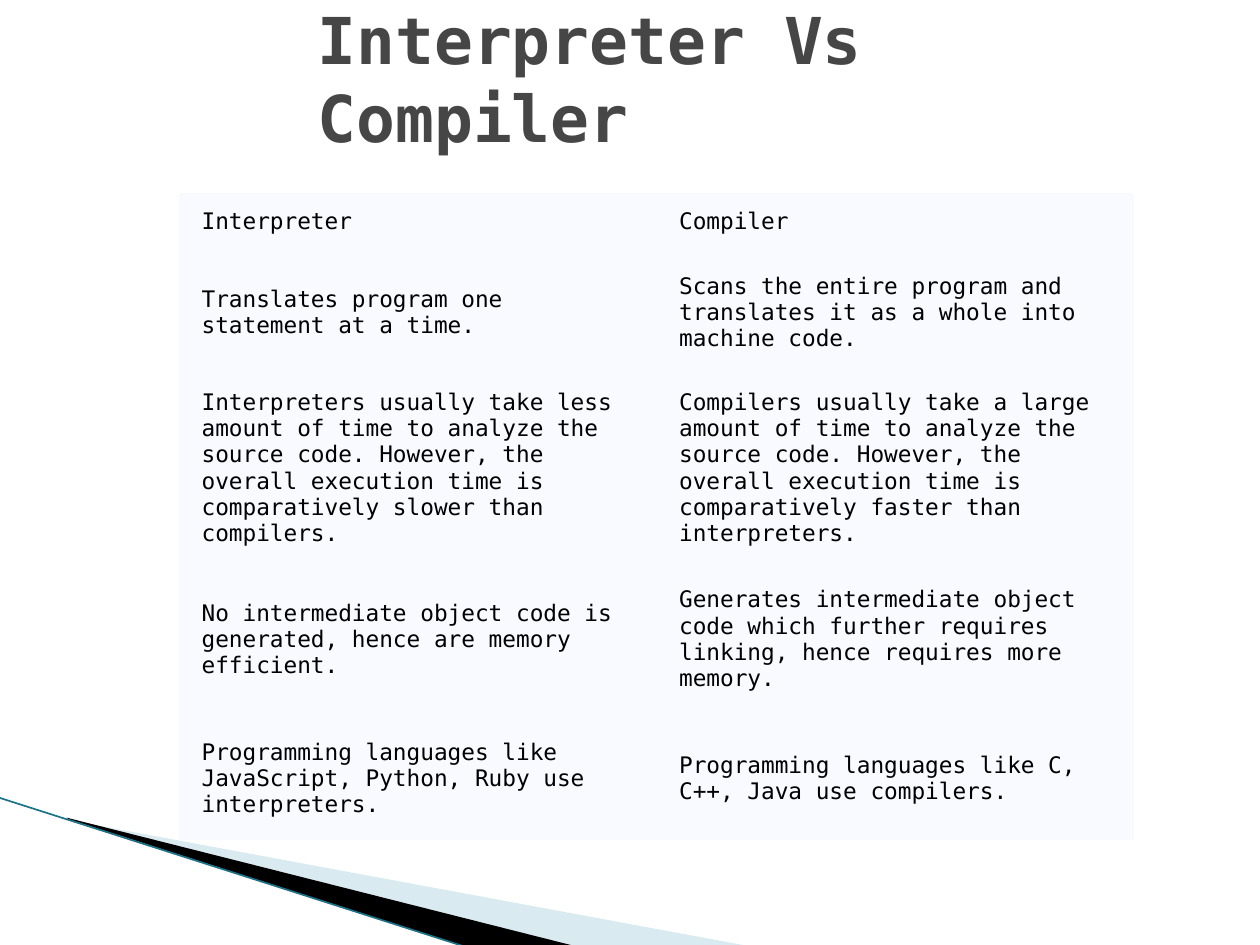
from lxml import etree
from pptx import Presentation
from pptx.dml.color import RGBColor
from pptx.enum import shapes, text
from pptx.oxml.ns import qn
from pptx.util import Inches, Pt

FONT = "DejaVu Sans Mono"


def color(value):
    return RGBColor.from_string(value)


def add_wedge(frame, points, fill):
    """Draw a wedge whose outline may reach beyond its frame."""
    left, top, width, height = [Inches(length) for length in frame]
    builder = slide.shapes.build_freeform(
        Inches(points[0][0]), Inches(points[0][1]), scale=1.0)
    builder.add_line_segments(
        [(Inches(x), Inches(y)) for x, y in points[1:]], close=True)
    wedge = builder.convert_to_shape()
    # Measure the outline from the frame's corner
    for point in wedge._element.iter(qn("a:pt")):
        point.set("x", str(int(point.get("x")) + wedge.left - left))
        point.set("y", str(int(point.get("y")) + wedge.top - top))
    for outline in wedge._element.iter(qn("a:path")):
        outline.set("w", str(int(width)))
        outline.set("h", str(int(height)))
    wedge.left, wedge.top, wedge.width, wedge.height = left, top, width, height
    wedge.shadow.inherit = False
    wedge.fill.solid()
    wedge.fill.fore_color.rgb = color(fill)
    wedge.line.fill.background()
    return wedge


presentation = Presentation()
presentation.slide_width = Inches(10)
presentation.slide_height = Inches(7.5)
slide = presentation.slides.add_slide(presentation.slide_layouts[5])

# Corner decoration
light_wedge = add_wedge(
    (0.78, 5.47, 4.16, 1.58),
    [(0.55, 6.51), (5.95, 7.51), (4.56, 7.51), (0.55, 6.5)], "A0CBDC")
light_color = light_wedge.fill._xPr.find(qn("a:solidFill"))[0]
etree.SubElement(light_color, qn("a:alpha"), val="40000")
add_wedge(
    (-0.06, 6.33, 4.16, 0.92),
    [(0.53, 6.49), (4.57, 7.51), (3.72, 7.52), (0.54, 6.5)], "000000")
edge = slide.shapes.add_connector(
    shapes.MSO_CONNECTOR.STRAIGHT,
    Inches(-0.01), Inches(6.33), Inches(3.71), Inches(7.52))
edge.line.color.rgb = color("1A7387")
edge.line.width = Pt(0.95)
etree.SubElement(edge._element.spPr, qn("a:effectLst"))

# Title, raised above the middle of its box by the bottom margin
title = slide.shapes.title
title.left, title.top = Inches(2.42), Inches(0.3)
title.width, title.height = Inches(7.08), Inches(1.25)
frame = title.text_frame
frame.text = "Interpreter Vs Compiler"
frame.word_wrap = True
frame.auto_size = text.MSO_AUTO_SIZE.NONE
frame.vertical_anchor = text.MSO_ANCHOR.MIDDLE
frame.margin_top, frame.margin_bottom = Inches(0), Inches(0.62)
paragraph = frame.paragraphs[0]
paragraph.alignment = text.PP_ALIGN.LEFT
paragraph.font.name = FONT
paragraph.font.size = Pt(36.9)
paragraph.font.bold = True
paragraph.font.color.rgb = color("464646")

# Comparison table
comparison = [
    (0.46, "Interpreter", "Compiler"),
    (0.98, "Translates program one statement at a time.",
     "Scans the entire program and translates it as a whole into machine code."),
    (1.49, "Interpreters usually take less amount of time to analyze the source "
     "code. However, the overall execution time is comparatively slower than "
     "compilers.",
     "Compilers usually take a large amount of time to analyze the source code. "
     "However, the overall execution time is comparatively faster than "
     "interpreters."),
    (1.23, "No intermediate object code is generated, hence are memory efficient.",
     "Generates intermediate object code which further requires linking, hence "
     "requires more memory."),
    (0.98, "Programming languages like JavaScript, Python, Ruby use interpreters.",
     "Programming languages like C, C++, Java use compilers."),
]
table = slide.shapes.add_table(
    len(comparison), 2, Inches(1.42), Inches(1.53),
    Inches(7.58), Inches(5.14)).table
table.first_row = False
table.horz_banding = False
# Table style without grid lines
table._tbl.tblPr.find(qn("a:tableStyleId")).text = (
    "{2D5ABB26-0587-4C30-8999-92F81FD0307C}")
for row, (height, *wordings) in zip(table.rows, comparison):
    row.height = Inches(height)
    for cell, wording in zip(row.cells, wordings):
        cell.text = wording
        cell.vertical_anchor = text.MSO_ANCHOR.MIDDLE
        cell.margin_left = cell.margin_right = Inches(0.18)
        cell.margin_top = cell.margin_bottom = Inches(0.09)
        cell.fill.solid()
        cell.fill.fore_color.rgb = color("F8FAFF")
        font = cell.text_frame.paragraphs[0].font
        font.name = FONT
        font.size = Pt(13)
        font.color.rgb = color("000000")

presentation.save("out.pptx")
